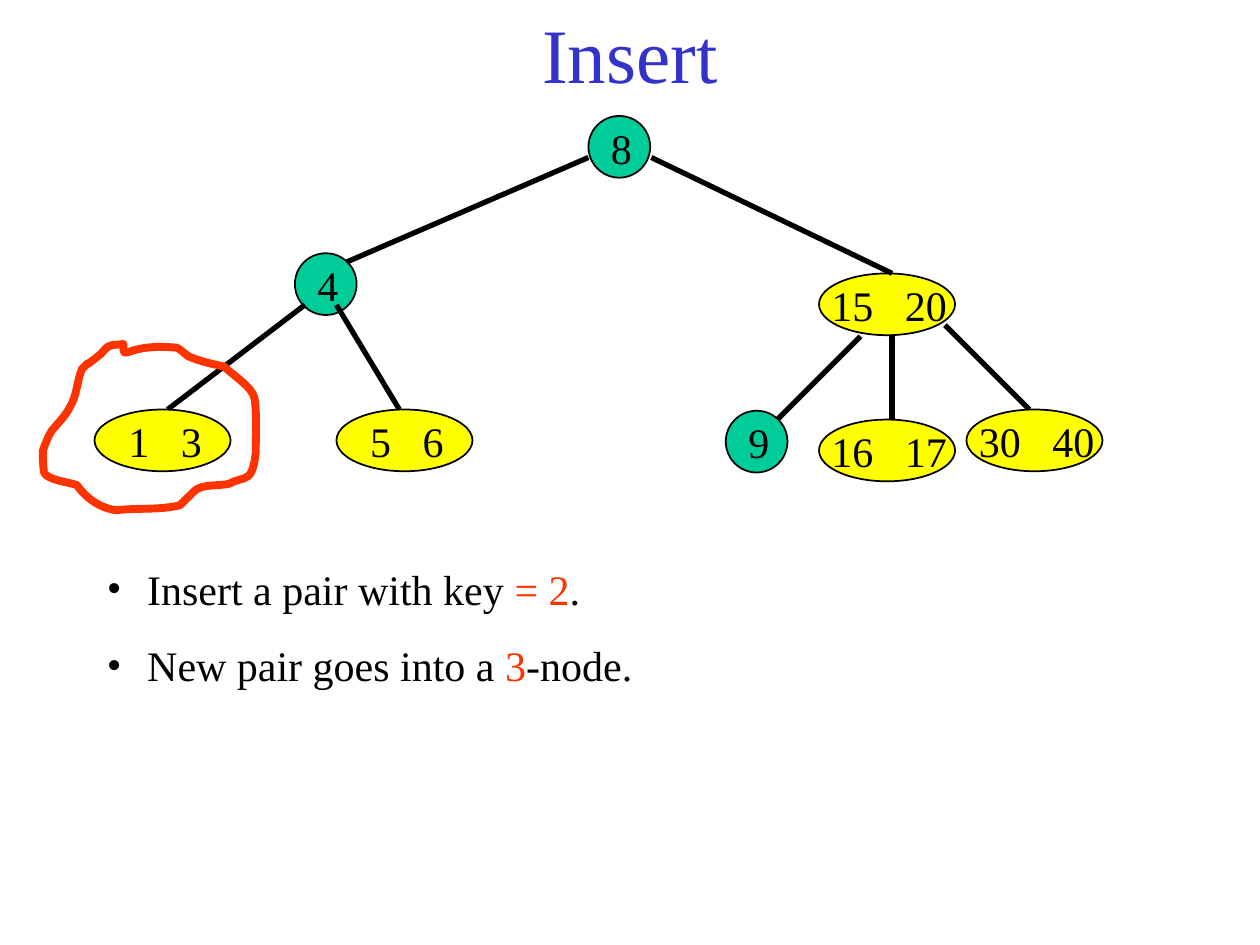
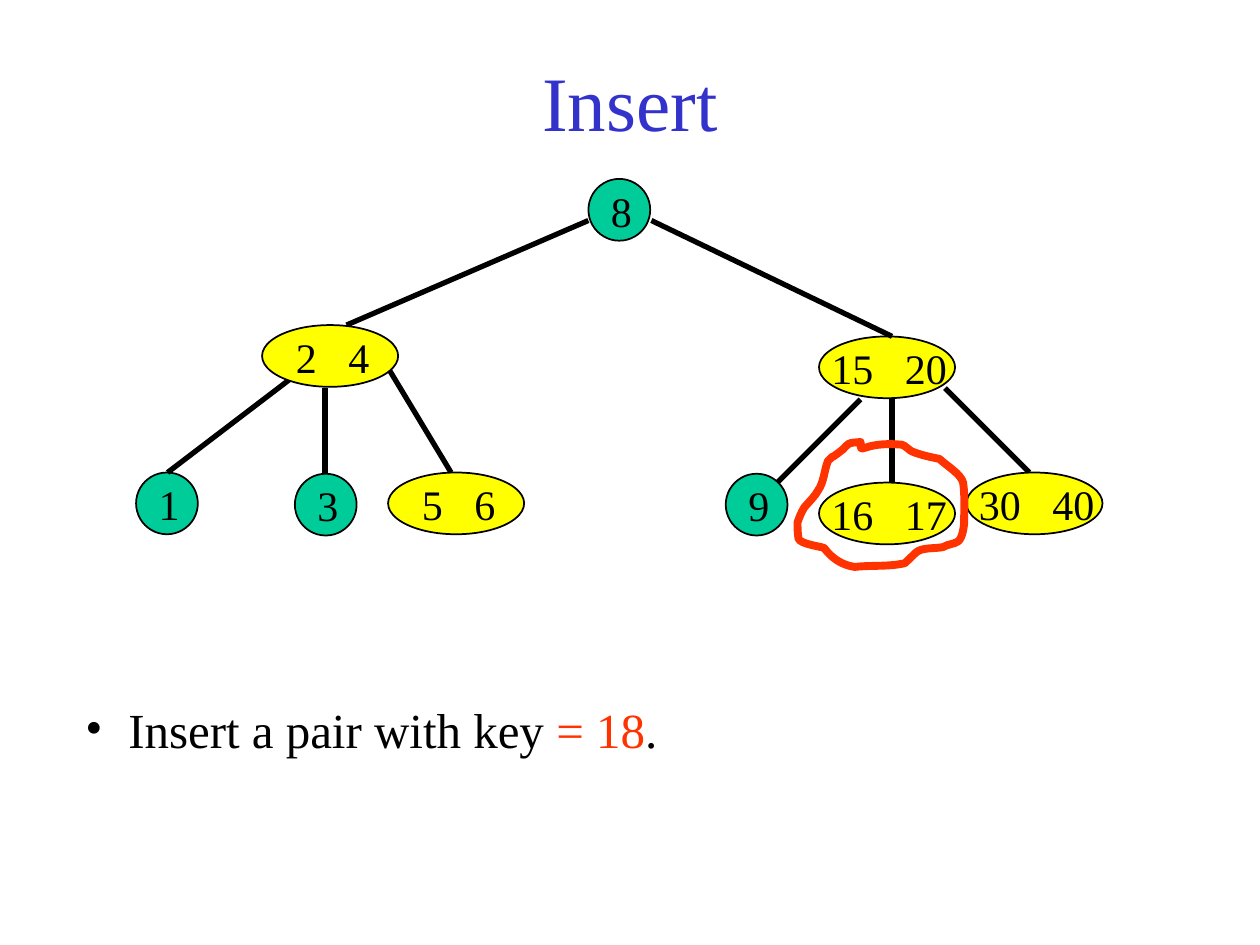
import dataclasses

import lxml.etree
import pptx
import pptx.dml.color
import pptx.enum.shapes
import pptx.enum.text
import pptx.oxml.ns
import pptx.util

Inches = pptx.util.Inches
Pt = pptx.util.Pt
RGB = pptx.dml.color.RGBColor.from_string
qn = pptx.oxml.ns.qn


@dataclasses.dataclass(frozen=True)
class Theme:
    font: str = "Times New Roman"
    title: str = "3333CC"
    ink: str = "000000"
    accent: str = "FF3300"
    two_node: str = "00CC99"
    three_node: str = "FFFF00"
    title_size: float = 44
    key_size: float = 24
    outline: float = 1
    edge: float = 3
    marker: float = 4.5


theme = Theme()

NODE_HEIGHT = 0.49


def write_text(shapes, box, paragraphs, size=theme.key_size, align="LEFT",
               anchor="TOP", wrap=True, space_before=0, bullet_indent=0, tab_stop=None):
    """Add a text box; each paragraph is a list of (text, colour) runs."""
    textbox = shapes.add_textbox(*map(Inches, box))
    frame = textbox.text_frame
    frame.word_wrap = wrap
    frame.vertical_anchor = getattr(pptx.enum.text.MSO_ANCHOR, anchor)
    for index, runs in enumerate(paragraphs):
        paragraph = frame.add_paragraph() if index else frame.paragraphs[0]
        paragraph.alignment = getattr(pptx.enum.text.PP_ALIGN, align)
        paragraph.space_before = Pt(space_before)
        properties = paragraph._p.get_or_add_pPr()
        if bullet_indent:
            indent = Inches(bullet_indent)
            properties.set("marL", str(indent))
            properties.set("indent", str(-indent))
            lxml.etree.SubElement(properties, qn("a:buFont"), typeface=theme.font)
            lxml.etree.SubElement(properties, qn("a:buChar"), char="•")
        if tab_stop:
            tabs = lxml.etree.SubElement(properties, qn("a:tabLst"))
            lxml.etree.SubElement(tabs, qn("a:tab"), pos=str(tab_stop), algn="l")
        for text, colour in runs:
            run = paragraph.add_run()
            run.text = text
            run.font.name = theme.font
            run.font.size = Pt(size)
            run.font.color.rgb = RGB(colour)


def draw_node(shapes, keys, left, top):
    """Draw a 2-node (one key) as a circle, a 3-node (two keys) as an ellipse."""
    is_three_node = len(keys) == 2
    width = 1.08 if is_three_node else NODE_HEIGHT
    node = shapes.add_shape(pptx.enum.shapes.MSO_SHAPE.OVAL,
                            *map(Inches, (left, top, width, NODE_HEIGHT)))
    node.shadow.inherit = False
    node.fill.solid()
    node.fill.fore_color.rgb = RGB(theme.three_node if is_three_node else theme.two_node)
    node.line.color.rgb = RGB(theme.ink)
    node.line.width = Pt(theme.outline)

    if not is_three_node:
        label_shift, label_width = 0.08, 0.42
    elif len(keys[0]) == 1:
        label_shift, label_width = 0.17, 0.83
    else:
        label_shift, label_width = 0, 1.5
    # A digit is half an em wide; the gap between keys is three quarters of an em.
    second_key = Pt(theme.key_size * (len(keys[0]) / 2 + 0.75)) if is_three_node else None
    write_text(shapes, (left + label_shift, top, label_width, 0.5),
               [[("\t".join(keys), theme.ink)]], tab_stop=second_key)


# Tree positions are those of the first slide; "drop" moves the tree down.
shared_back_nodes = [(("15", "20"), 6.5, 2.17), (("9",), 5.76, 3.26), (("8",), 4.67, 0.92)]
shared_front_nodes = [(("30", "40"), 7.67, 3.25), (("16", "17"), 6.5, 3.33)]
shared_edges = [
    (4.67, 1.25, 2.75, 2.08), (5.17, 1.25, 7.08, 2.17), (2.42, 2.42, 1.33, 3.25),
    (6.83, 2.67, 6.17, 3.33), (7.5, 2.58, 8.17, 3.25), (7.08, 2.67, 7.08, 3.33),
]

insert_steps = [
    dict(
        title_box=(0.75, 0, 8.5, 0.83), drop=0, grouped=False,
        back_nodes=[(("4",), 2.34, 2.01)],
        front_nodes=[(("5", "6"), 2.67, 3.25), (("1", "3"), 0.75, 3.25)],
        edges=[(2.67, 2.42, 3.17, 3.25)],
        marker_box=(0.34, 2.72, 1.7, 1.33),
        notes_box=(0.75, 4.42, 6.67, 1.11),
        notes_format=dict(size=24, space_before=15, bullet_indent=0.32),
        notes=[("Insert a pair with key ", "= 2", "."),
               ("New pair goes into a ", "3", "-node.")],
    ),
    dict(
        title_box=(0.75, 0.17, 8.5, 1.25), drop=0.5, grouped=True,
        back_nodes=[(("1",), 1.08, 3.25)],
        front_nodes=[(("5", "6"), 3.08, 3.25), (("2", "4"), 2.08, 2.08),
                     (("3",), 2.34, 3.26)],
        edges=[(3.08, 2.42, 3.58, 3.25), (2.58, 2.58, 2.58, 3.25)],
        marker_box=(6.33, 3.5, 1.33, 1),
        notes_box=(0.58, 5.5, 6.67, 0.57),
        notes_format=dict(size=28, space_before=17.5, bullet_indent=0.34),
        notes=[("Insert a pair with key ", "= 18", ".")],
    ),
]

# Hand-drawn loop: a start point, then cubic curves of two controls and an end.
loop_box = (0.34, 2.72, 1.7, 1.33)
loop_points = [
    (0.98, 2.73),
    (0.94, 2.74), (0.9, 2.73), (0.86, 2.75), (0.84, 2.76), (0.82, 2.79), (0.8, 2.81),
    (0.59, 2.98), (0.77, 2.81), (0.65, 2.93), (0.61, 3.03), (0.61, 3.15), (0.55, 3.24),
    (0.52, 3.3), (0.46, 3.36), (0.41, 3.42), (0.38, 3.47), (0.36, 3.52), (0.34, 3.58),
    (0.34, 3.63), (0.34, 3.69), (0.35, 3.75), (0.37, 3.81), (0.56, 3.83), (0.61, 3.85),
    (0.69, 3.96), (0.79, 4.03), (0.92, 4.05), (1.09, 4.03), (1.27, 4.05), (1.43, 4.01),
    (1.47, 3.97), (1.5, 3.94), (1.54, 3.9), (1.6, 3.84), (1.73, 3.86), (1.82, 3.84),
    (1.86, 3.81), (1.93, 3.81), (1.97, 3.78), (2.02, 3.74), (2.03, 3.59), (2.03, 3.59),
    (2.03, 3.45), (2.04, 3.3), (2.02, 3.16), (2, 3.07), (1.85, 2.98), (1.78, 2.91),
    (1.69, 2.89), (1.59, 2.87), (1.5, 2.83), (1.49, 2.83), (1.42, 2.76), (1.4, 2.76),
    (0.98, 2.72), (0.98, 2.89), (0.98, 2.73),
]

presentation = pptx.Presentation()
presentation.slide_width = Inches(10)
presentation.slide_height = Inches(7.5)

for insert in insert_steps:
    slide = presentation.slides.add_slide(presentation.slide_layouts[6])
    write_text(slide.shapes, insert["title_box"], [[("Insert", theme.title)]],
               size=theme.title_size, align="CENTER", anchor="MIDDLE")
    write_text(slide.shapes, insert["notes_box"],
               [[(before, theme.ink), (key, theme.accent), (after, theme.ink)]
                for before, key, after in insert["notes"]], **insert["notes_format"])

    tree = slide.shapes.add_group_shape().shapes if insert["grouped"] else slide.shapes
    drop = insert["drop"]
    for keys, left, top in shared_back_nodes + insert["back_nodes"]:
        draw_node(tree, keys, left, top + drop)
    for x1, y1, x2, y2 in shared_edges + insert["edges"]:
        edge = tree.add_connector(pptx.enum.shapes.MSO_CONNECTOR.STRAIGHT,
                                  *map(Inches, (x1, y1 + drop, x2, y2 + drop)))
        edge.line.color.rgb = RGB(theme.ink)
        edge.line.width = Pt(theme.edge)
        lxml.etree.SubElement(edge._element.spPr, qn("a:effectLst"))
    for keys, left, top in insert["front_nodes"] + shared_front_nodes:
        draw_node(tree, keys, left, top + drop)

    left, top, width, height = insert["marker_box"]
    outline = [(Inches(left + (x - loop_box[0]) * width / loop_box[2]),
                Inches(top + (y - loop_box[1]) * height / loop_box[3]))
               for x, y in loop_points]
    builder = slide.shapes.build_freeform(*outline[0])
    builder.add_line_segments(outline[1:], close=True)
    marker = builder.convert_to_shape()
    marker.shadow.inherit = False
    marker.fill.background()
    marker.line.color.rgb = RGB(theme.accent)
    marker.line.width = Pt(theme.marker)
    # Join every three straight segments into one cubic curve.
    segments = list(marker._element.iter(qn("a:lnTo")))
    for first, second, last in zip(segments[::3], segments[1::3], segments[2::3]):
        first.tag = qn("a:cubicBezTo")
        for segment in (second, last):
            first.append(segment[0])
            segment.getparent().remove(segment)

presentation.save("out.pptx")
